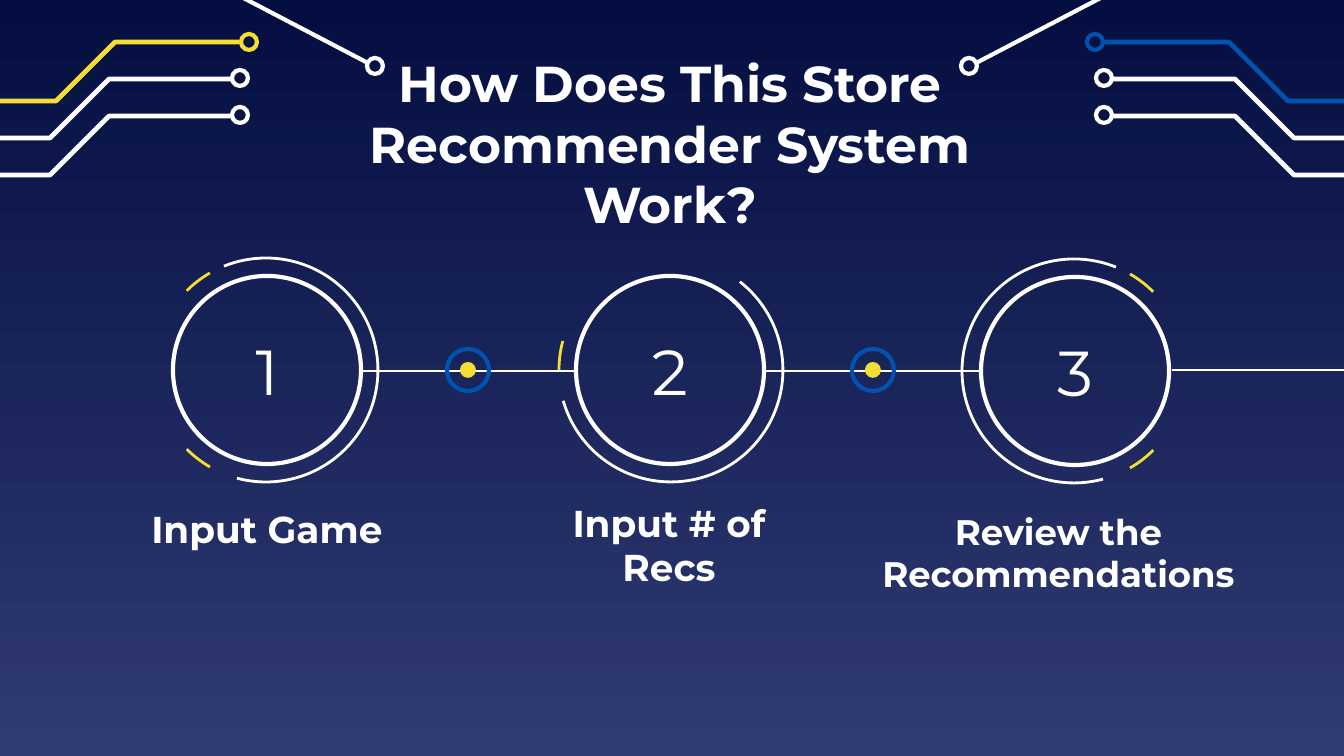
from dataclasses import dataclass

import pptx
import pptx.dml.color
import pptx.enum.shapes
import pptx.enum.text
import pptx.util
from lxml import etree

WIDE, HIGH = 1344, 756
SCALE = 914400 / 134.4
FONT = "Montserrat"
HUES = {"white": "FFFFFF", "gold": "F5DE34", "blue": "0152B1",
        "night": "040E41", "dusk": "303B72"}
KIND = pptx.enum.shapes.MSO_SHAPE
MID = 370
DISC, RING = 188, 224


@dataclass
class Arc:
    start: int  # degrees, clockwise from the right
    end: int
    hue: str


@dataclass
class Step:
    num: str
    x: int
    y: int
    ring: int  # centre x of the outer arcs
    arcs: list[Arc]


@dataclass
class Label:
    words: str
    x: int
    y: int
    wide: int
    high: int
    size: int


@dataclass
class Trace:
    points: list[tuple[int, int]]
    pad: tuple[int, int]
    hue: str
    thick: float = 2.5


STEPS = [
    Step("1", 267, MID, 266,
         [Arc(248, 105, "white"), Arc(225, 240, "gold"), Arc(120, 135, "gold")]),
    Step("2", 670, MID, 671,
         [Arc(308, 164, "white"), Arc(180, 195, "gold")]),
    Step("3", 1075, MID + 1, 1074,
         [Arc(75, 292, "white"), Arc(300, 315, "gold"), Arc(45, 60, "gold")]),
]
LABELS = [
    Label("How Does This Store Recommender System Work?", 301, 108, 738, 70, 27),
    Label("Input Game", 114, 497, 306, 63, 20),
    Label("Input # of Recs", 516, 513, 306, 63, 20),
    Label("Review the Recommendations", 867, 513, 383, 79, 19),
]
BEND = [(-48, 138), (50, 138), (109, 79), (233, 79)]
TRACES = [
    Trace([(x + 6, y - 37) for x, y in BEND], (249, 42), "gold"),
    Trace(BEND, (240, 78), "white"),
    Trace([(x, y + 37) for x, y in BEND], (240, 115), "white"),
    Trace([(368, 63), (140, -56)], (375, 66), "white", 2.25),
]
LINKS = [(361, 575, MID + 1), (764, 981, MID + 1), (1172, 1418, MID)]
NODES = [468, 873]


def emu(px: int) -> int:
    return round(px * SCALE)


def rgb(hue: str) -> pptx.dml.color.RGBColor:
    return pptx.dml.color.RGBColor.from_string(HUES[hue])


def style(shape, line: str | None, thick: float = 0, fill: str | None = None) -> None:
    shape.shadow.inherit = False
    if fill:
        shape.fill.solid()
        shape.fill.fore_color.rgb = rgb(fill)
    else:
        shape.fill.background()
    if line:
        shape.line.color.rgb = rgb(line)
        shape.line.width = pptx.util.Pt(thick)
    else:
        shape.line.fill.background()


def put(slide, kind, x: int, y: int, size: int):
    """Add a square-framed shape centred on x, y."""
    return slide.shapes.add_shape(kind, emu(x - size // 2), emu(y - size // 2),
                                  emu(size), emu(size))


def write(shape, words: str, size: int, bold: bool) -> None:
    frame = shape.text_frame
    frame.word_wrap = True
    frame.vertical_anchor = pptx.enum.text.MSO_ANCHOR.MIDDLE
    para = frame.paragraphs[0]
    para.alignment = pptx.enum.text.PP_ALIGN.CENTER
    run = para.add_run()
    run.text = words
    run.font.name = FONT
    run.font.size = pptx.util.Pt(size)
    run.font.bold = bold
    run.font.color.rgb = rgb("white")


def draw_trace(slide, trace: Trace, flip: bool) -> None:
    """Draw a circuit trace and its end ring, mirrored if flip is set."""
    def side(x: int) -> int:
        return WIDE - x if flip else x

    hue = "blue" if flip and trace.hue == "gold" else trace.hue
    spots = [(side(x), y) for x, y in trace.points]
    pen = slide.shapes.build_freeform(*spots[0], scale=SCALE)
    pen.add_line_segments(spots[1:], close=False)
    style(pen.convert_to_shape(), hue, trace.thick)
    x, y = trace.pad
    style(put(slide, KIND.OVAL, side(x), y, 16), hue, 2.25)


def draw_link(slide, left: int, right: int, y: int) -> None:
    link = slide.shapes.add_connector(
        pptx.enum.shapes.MSO_CONNECTOR.STRAIGHT,
        emu(left), emu(y), emu(right), emu(y))
    link.line.color.rgb = rgb("white")
    link.line.width = pptx.util.Pt(1.5)
    props = link._element.spPr
    etree.SubElement(props, pptx.oxml.ns.qn("a:effectLst"))


def draw_node(slide, x: int) -> None:
    style(put(slide, KIND.OVAL, x, MID, 42), "blue", 2.25)
    style(put(slide, KIND.OVAL, x, MID, 16), None, fill="gold")


def draw_step(slide, step: Step) -> None:
    disc = put(slide, KIND.OVAL, step.x, step.y, DISC)
    style(disc, "white", 2.25)
    write(disc, step.num, 34, False)
    for arc in step.arcs:
        shape = put(slide, KIND.ARC, step.ring, step.y, RING)
        # one degree is 60000 units; an adjustment counts in 100000
        shape.adjustments[0] = arc.start * 0.6
        shape.adjustments[1] = arc.end * 0.6
        style(shape, arc.hue, 1.5)


def draw_label(slide, label: Label) -> None:
    box = slide.shapes.add_textbox(emu(label.x), emu(label.y),
                                   emu(label.wide), emu(label.high))
    write(box, label.words, label.size, True)


def paint(slide) -> None:
    """Fill the background with a gradient, dark at the top."""
    fill = slide.background.fill
    fill.gradient()
    fill.gradient_angle = 270
    for stop, hue in zip(fill.gradient_stops, ("night", "dusk")):
        stop.color.rgb = rgb(hue)


def main() -> None:
    deck = pptx.Presentation()
    deck.slide_width, deck.slide_height = emu(WIDE), emu(HIGH)
    slide = deck.slides.add_slide(deck.slide_layouts[6])
    paint(slide)
    for flip in (False, True):
        for trace in TRACES:
            draw_trace(slide, trace, flip)
    for link in LINKS:
        draw_link(slide, *link)
    for x in NODES:
        draw_node(slide, x)
    for step in STEPS:
        draw_step(slide, step)
    for label in LABELS:
        draw_label(slide, label)
    deck.save("out.pptx")


if __name__ == "__main__":
    main()
